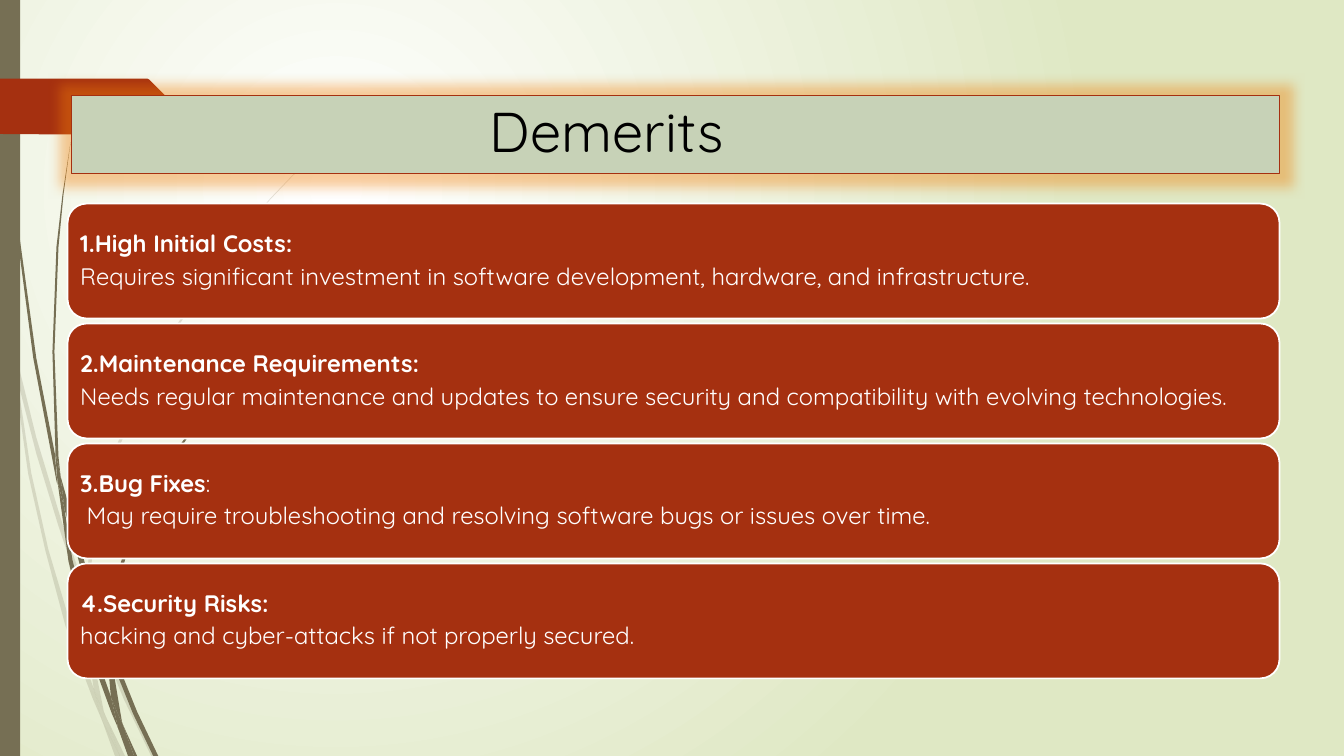
from lxml import etree
from pptx import Presentation
from pptx.dml.color import RGBColor
from pptx.enum.shapes import MSO_SHAPE as SHAPE
from pptx.enum.text import MSO_ANCHOR as ANCHOR, PP_ALIGN as ALIGN
from pptx.oxml.ns import qn
from pptx.util import Inches, Pt

FONT = "Quicksand"
OLIVE, RUST, SAGE, GLOW = "766F54", "A53010", "C7D2B7", "F07F09"
WHITE, BLACK, PALE = "FFFFFF", "000000", "DFE8C4"

TITLE = "Demerits"
# Each card: paragraphs of (text, bold) runs
CARDS = [
    [[("1.High Initial Costs:", True)],
     [("Requires significant investment in software development, hardware, "
       "and infrastructure.", False)]],
    [[("2.Maintenance Requirements:", True)],
     [("Needs regular maintenance and updates to ensure security and "
       "compatibility with evolving technologies.", False)]],
    [[("3.Bug Fixes", True), (":", False)],
     [(" May require troubleshooting and resolving software bugs or issues "
       "over time.", False)]],
    [[("4.Security Risks:", True)],
     [("hacking and cyber-attacks if not properly secured.", False)]],
]

# Outlines of the grass blades, in inches
FAINT_BLADES = [
    [(0.11, 3.5), (0.09, 3.22), (0, 2.82), (0, 2.99), (0.1, 3.44)],
    [(0.58, 5.22), (0.84, 5.99), (0.85, 5.86), (0.62, 5.2), (0.36, 4.34),
     (0.14, 3.45), (0.17, 3.76), (0.36, 4.5)],
    [(0.92, 6.07), (0.88, 5.96), (0.88, 6.1), (1.23, 6.94), (1.5, 7.5),
     (1.55, 7.5), (1.27, 6.92)],
    [(1.19, 7.5), (1.24, 7.5), (1.05, 7.11)],
    [(0.93, 6.83), (0.7, 6.19), (0.48, 5.45), (0.31, 4.69), (0.17, 3.76),
     (0.11, 3.5), (0.28, 4.7), (0.45, 5.46), (0.65, 6.21), (0.92, 6.93),
     (1.01, 7.14), (0.99, 7.07)],
    [(0.84, 5.99), (0.87, 6.46), (0.93, 6.83), (0.96, 6.92), (1.05, 7.11),
     (1.03, 7.06), (0.91, 6.46), (0.88, 6.1), (0.88, 6.08)],
    [(0.88, 5.84), (0.95, 5.22), (1.1, 4.62), (1.6, 3.49), (2.29, 2.45),
     (2.68, 1.98), (2.9, 1.75), (3.12, 1.54), (3.12, 1.53), (2.89, 1.75),
     (2.68, 1.97), (2.28, 2.44), (1.58, 3.48), (1.07, 4.61), (0.91, 5.22),
     (0.85, 5.84), (0.85, 5.86), (0.88, 5.96)],
    [(1.01, 7.14), (1.14, 7.5), (1.19, 7.5)],
    [(0.96, 6.92), (0.93, 6.83), (0.99, 7.07), (1.01, 7.14), (1.19, 7.5),
     (1.05, 7.11)],
]
DARK_BLADES = [
    [(0.07, 1.1), (0.17, 2.33), (0.33, 3.55), (0.56, 4.77), (0.57, 4.81),
     (0.55, 4.57), (0.55, 4.53), (0.36, 3.55), (0.19, 2.32), (0.08, 1.09),
     (0.05, 0.48), (0.04, 0), (0.03, 0), (0.04, 0.48)],
    [(0.88, 5.92), (1.06, 6.45), (1.06, 6.33), (1.06, 6.31), (0.93, 5.9),
     (0.6, 4.72), (0.64, 5.05)],
    [(1.13, 6.49), (1.1, 6.41), (1.11, 6.56), (1.32, 7.08), (1.52, 7.5),
     (1.57, 7.5), (1.36, 7.06)],
    [(1.1, 6.91), (0.98, 6.57), (0.72, 5.56), (0.64, 5.05), (0.57, 4.77),
     (0.68, 5.57), (0.93, 6.59), (1.11, 7.08), (1.17, 7.22), (1.16, 7.17)],
    [(0.6, 4.72), (0.58, 4.53), (0.54, 3.49), (0.58, 2.45), (0.63, 1.93),
     (0.7, 1.41), (0.62, 1.93), (0.56, 2.45), (0.52, 3.49), (0.55, 4.49)],
    [(1.33, 7.5), (1.36, 7.5), (1.22, 7.19)],
    [(0.57, 4.77), (0.64, 5.05), (0.6, 4.72), (0.55, 4.49), (0.55, 4.53)],
    [(1.11, 6.33), (1.14, 5.92), (1.25, 5.52), (1.58, 4.76), (2.05, 4.06),
     (2.31, 3.74), (2.61, 3.44), (2.6, 3.44), (2.31, 3.73), (2.04, 4.05),
     (1.56, 4.74), (1.22, 5.51), (1.1, 5.91), (1.06, 6.31), (1.1, 6.41)],
    [(1.17, 7.22), (1.27, 7.5), (1.31, 7.5)],
    [(1.06, 6.45), (1.1, 6.91), (1.16, 7.06), (1.22, 7.19), (1.21, 7.16),
     (1.11, 6.56), (1.09, 6.51)],
    [(1.16, 7.06), (1.1, 6.91), (1.16, 7.17), (1.17, 7.22), (1.3, 7.5),
     (1.33, 7.5), (1.22, 7.19)],
]
FLAG = [(0, 0.78), (1.46, 0.78), (1.48, 0.79), (1.73, 1.04), (1.74, 1.06),
        (1.73, 1.08), (1.48, 1.33), (1.46, 1.34), (0, 1.33)]

CARD_LEFT, CARD_TOP, CARD_W, CARD_H, CARD_STEP = 0.67, 2.02, 12.02, 1.14, 1.19


def rgb(color):
    return RGBColor.from_string(color)


def paint(s, fill, line=None, width=1):
    s.shadow.inherit = False
    s.fill.solid()
    s.fill.fore_color.rgb = rgb(fill)
    if line:
        s.line.color.rgb = rgb(line)
        s.line.width = Pt(width)
    else:
        s.line.fill.background()


def add_alpha(color_element, percent):
    etree.SubElement(color_element, qn("a:alpha"), val=str(percent * 1000))


def add_outline(slide, points, color, alpha=None):
    pts = [(Inches(x), Inches(y)) for x, y in points]
    builder = slide.shapes.build_freeform(*pts[0])
    builder.add_line_segments(pts[1:], close=True)
    s = builder.convert_to_shape()
    paint(s, color)
    if alpha:
        add_alpha(s._element.spPr.find(".//" + qn("a:srgbClr")), alpha)


def add_box(slide, kind, *box):
    return slide.shapes.add_shape(kind, *map(Inches, box))


def set_background(slide):
    fill = slide.background.fill
    fill.gradient()
    for stop, color in zip(fill.gradient_stops, (WHITE, PALE)):
        stop.color.rgb = rgb(color)
    lin = slide._element.find(".//" + qn("a:lin"))
    radial = etree.Element(qn("a:path"), path="circle")
    etree.SubElement(radial, qn("a:fillToRect"),
                     l="50000", t="50000", r="100000", b="100000")
    lin.getparent().replace(lin, radial)


def write(p, text, **font):
    r = p.add_run()
    r.text = text
    r.font.color.rgb = rgb(font.pop("color"))
    for name, value in font.items():
        setattr(r.font, name, value)


def add_card(slide, top, paragraphs):
    s = add_box(slide, SHAPE.ROUNDED_RECTANGLE, CARD_LEFT, top, CARD_W, CARD_H)
    paint(s, RUST, WHITE, 1.25)
    tf = s.text_frame
    tf.word_wrap, tf.vertical_anchor = True, ANCHOR.MIDDLE
    for side in ("left", "top", "right", "bottom"):
        setattr(tf, "margin_" + side, Inches(0.07))
    for i, runs in enumerate(paragraphs):
        p = tf.add_paragraph() if i else tf.paragraphs[0]
        p.alignment, p.line_spacing, p.space_after = ALIGN.LEFT, 0.9, Pt(5)
        for text, bold in runs:
            write(p, text, color=WHITE, size=Pt(17), name=FONT, bold=bold)


def format_title(slide):
    s = slide.shapes.title
    box = dict(left=0.71, top=0.95, width=11.98, height=0.77)
    for name, value in box.items():
        setattr(s, name, Inches(value))
    paint(s, SAGE, RUST, 0.75)
    effects = s._element.spPr.find(qn("a:effectLst"))
    glow = etree.SubElement(effects, qn("a:glow"), rad=str(Inches(0.25)))
    add_alpha(etree.SubElement(glow, qn("a:srgbClr"), val=GLOW), 40)
    tf = s.text_frame
    tf.word_wrap, tf.vertical_anchor = True, ANCHOR.MIDDLE
    tf.margin_left = Inches(4.15)
    p = tf.paragraphs[0]
    p.alignment, p.line_spacing = ALIGN.LEFT, 0.9
    write(p, TITLE, color=BLACK, size=Pt(40), name=FONT)
    slide.shapes._spTree.append(s._element)  # bring to front


def main():
    prs = Presentation()
    prs.slide_width, prs.slide_height = Inches(13.33), Inches(7.5)
    slide = prs.slides.add_slide(prs.slide_layouts[5])
    set_background(slide)
    for blades, alpha in ((FAINT_BLADES, 20), (DARK_BLADES, None)):
        for points in blades:
            add_outline(slide, points, OLIVE, alpha)
    paint(add_box(slide, SHAPE.RECTANGLE, 0, 0, 0.2, 7.5), OLIVE)
    add_outline(slide, FLAG, RUST)
    for i, paragraphs in enumerate(CARDS):
        add_card(slide, CARD_TOP + i * CARD_STEP, paragraphs)
    format_title(slide)
    prs.save("out.pptx")


if __name__ == "__main__":
    main()
